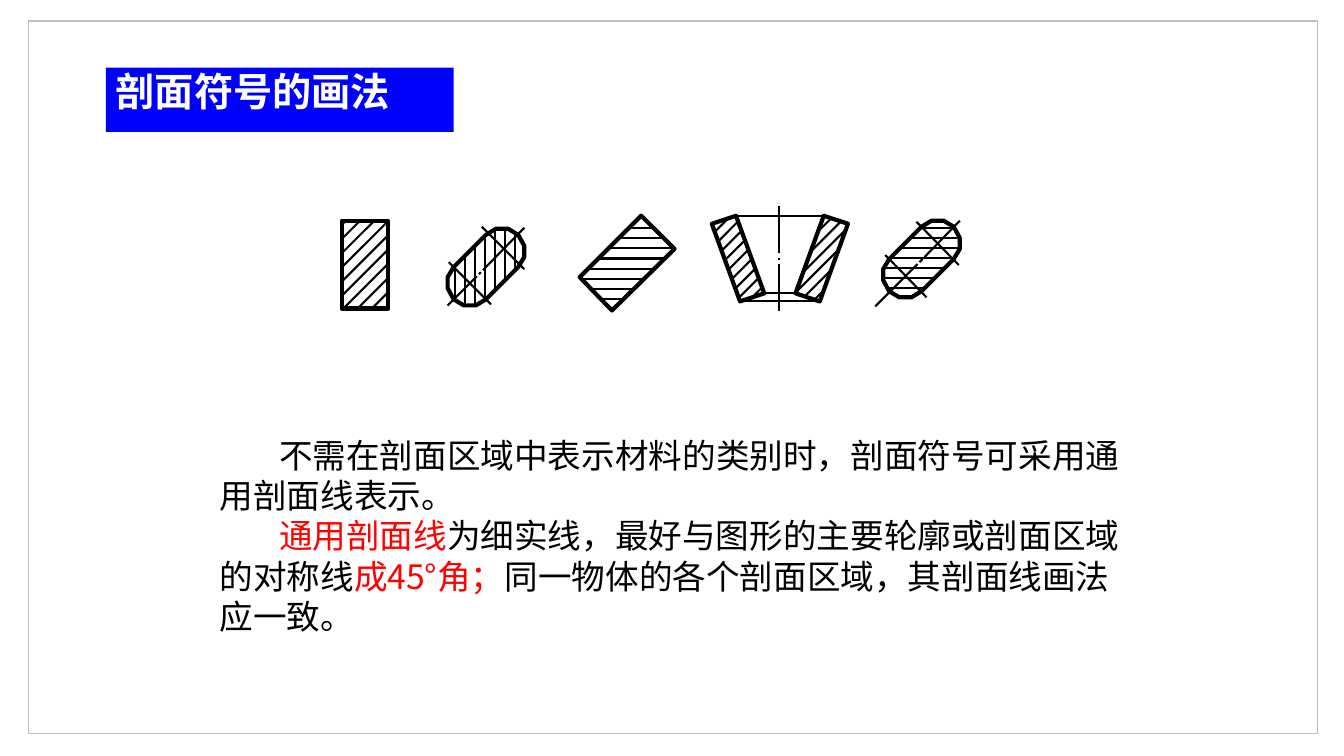
from dataclasses import dataclass, field
from typing import Optional

from lxml.etree import SubElement
from pptx import Presentation
from pptx.dml.color import RGBColor as Color
from pptx.enum.shapes import MSO_CONNECTOR as Connector, MSO_SHAPE as Preset
from pptx.enum.text import MSO_ANCHOR as Anchor, PP_ALIGN as Align
from pptx.oxml.ns import qn
from pptx.util import Inches, Pt

BLACK = Color(0x00, 0x00, 0x00)
WHITE = Color(0xFF, 0xFF, 0xFF)
BLUE = Color(0x00, 0x00, 0xFF)
GREY = Color(0xBF, 0xBF, 0xBF)
TERM_RED = Color(0xFF, 0x01, 0x01)
ANGLE_RED = Color(0xFF, 0x00, 0x00)
FONT = "Noto Sans CJK SC"
CELL = Inches(0.1)
THIN, THICK = 1.5, 3

Point = tuple[float, float]
Segment = tuple[Point, Point]
DIAGONAL, HORIZONTAL, VERTICAL = (1, 1), (0, 1), (1, 0)


@dataclass
class Hatch:
    normal: Point
    first: float
    last: float
    count: int


@dataclass
class Section:
    outline: list[Point]
    hatch: Hatch
    centre_lines: list[Segment] = field(default_factory=list)


@dataclass
class TextPiece:
    text: str
    color: Color
    size: float = 24
    bold: Optional[bool] = None


def grid(value: float) -> int:
    return round(value * CELL)


def slot(centre_x: float, centre_y: float) -> list[Point]:
    half = [(-3.2, 0), (-3.8, 1), (-3.8, 2.1), (-3.2, 3.2), (-2.2, 3.8), (-1, 3.8), (0, 3.2)]
    offsets = half + [(-x, -y) for x, y in half]
    return [(centre_x + x, centre_y + y) for x, y in offsets]


def hatch_segments(section: Section) -> list[Segment]:
    hatch = section.hatch
    step = (hatch.last - hatch.first) / (hatch.count - 1)
    edges = list(zip(section.outline, section.outline[1:] + section.outline[:1]))
    segments = []
    for index in range(hatch.count):
        level = hatch.first + index * step
        crossings = []
        for start, end in edges:
            before, after = (p[0] * hatch.normal[0] + p[1] * hatch.normal[1] - level
                             for p in (start, end))
            if (before < 0) != (after < 0):
                share = before / (before - after)
                crossings.append((start[0] + share * (end[0] - start[0]),
                                  start[1] + share * (end[1] - start[1])))
        if len(crossings) == 2:
            segments.append((crossings[0], crossings[1]))
    return segments


def draw_line(slide, segment: Segment) -> None:
    (x1, y1), (x2, y2) = segment
    line = slide.shapes.add_connector(Connector.STRAIGHT, grid(x1), grid(y1), grid(x2), grid(y2))
    line.line.color.rgb = BLACK
    line.line.width = Pt(THIN)
    SubElement(line._element.spPr, qn("a:effectLst"))


def draw_section(slide, section: Section) -> None:
    for segment in hatch_segments(section) + section.centre_lines:
        draw_line(slide, segment)
    corners = [(grid(x), grid(y)) for x, y in section.outline]
    builder = slide.shapes.build_freeform(*corners[0])
    builder.add_line_segments(corners[1:], close=True)
    outline = builder.convert_to_shape()
    outline.shadow.inherit = False
    outline.fill.background()
    outline.line.color.rgb = BLACK
    outline.line.width = Pt(THICK)


def draw_box(slide, left: float, top: float, width: float, height: float):
    box = slide.shapes.add_shape(Preset.RECTANGLE, grid(left), grid(top), grid(width), grid(height))
    box.shadow.inherit = False
    return box


def write_paragraph(paragraph, pieces: list[TextPiece], margin: float, indent: float) -> None:
    paragraph.alignment = Align.LEFT
    properties = paragraph._p.get_or_add_pPr()
    properties.set("marL", str(grid(margin)))
    properties.set("indent", str(grid(indent)))
    for piece in pieces:
        run = paragraph.add_run()
        run.text = piece.text
        run.font.size = Pt(piece.size)
        run.font.bold = piece.bold
        run.font.color.rgb = piece.color
        run.font.name = FONT
        SubElement(run._r.get_or_add_rPr(), qn("a:ea")).set("typeface", FONT)


SECTIONS = [
    Section([(33.9, 30.6), (38.5, 30.6), (38.5, 21.9), (33.9, 21.9)],
            Hatch(DIAGONAL, 56.2, 68.9, 10)),
    Section([(57.5, 27.5), (60.7, 30.8), (66.9, 24.7), (63.6, 21.4)],
            Hatch(HORIZONTAL, 21.6, 30.7, 10)),
    Section(slot(48.2, 26.5), Hatch(VERTICAL, 45.1, 51.1, 7),
            [((44.5, 26), (48.7, 30.2)), ((47.8, 22.5), (52, 26.7)),
             ((44.4, 30.3), (47.3, 27.4)), ((47.5, 27.2), (47.7, 27)),
             ((47.9, 26.8), (52, 22.6))]),
    Section([(73.4, 29.9), (75.8, 29.1), (73, 21.4), (70.6, 22.2)],
            Hatch(DIAGONAL, 93.9, 104.1, 9)),
    Section([(81.3, 29.9), (78.9, 29.1), (81.7, 21.4), (84.1, 22.2)],
            Hatch(DIAGONAL, 104.1, 110.5, 6),
            [((73, 21.4), (81.7, 21.4)), ((73.4, 29.9), (81.3, 29.9)),
             ((75.8, 29.1), (78.9, 29.1)), ((77.3, 20.4), (77.3, 25.1)),
             ((77.3, 25.6), (77.3, 25.8)), ((77.3, 26.2), (77.3, 30.9))]),
    Section(slot(91.4, 25.7), Hatch(HORIZONTAL, 22.6, 28.6, 7),
            [((87.8, 25.3), (91.9, 29.5)), ((90.9, 22), (95.1, 26.3)),
             ((86.8, 30.4), (91, 26.2)), ((91.2, 26), (91.5, 25.7)),
             ((91.7, 25.5), (95.2, 21.9))]),
]

BODY = [
    [TextPiece("不需在剖面区域中表示材料的类别时，剖面符号可采用通用剖面线表示。", BLACK)],
    [TextPiece("通用剖面线", TERM_RED),
     TextPiece("为细实线，最好与图形的主要轮廓或剖面区域的对称线", BLACK),
     TextPiece("成45°角；", ANGLE_RED),
     TextPiece("同一物体的各个剖面区域，其剖面线画法应一致。", BLACK)],
]


def main() -> None:
    presentation = Presentation()
    presentation.slide_width = Inches(13.33)
    presentation.slide_height = Inches(7.5)
    slide = presentation.slides.add_slide(presentation.slide_layouts[6])

    frame = draw_box(slide, 2.8, 2.1, 127.9, 70.7)
    frame.fill.background()
    frame.line.color.rgb = GREY
    frame.line.width = Pt(1)

    title = draw_box(slide, 10.5, 6.7, 34.5, 6.4)
    title.fill.solid()
    title.fill.fore_color.rgb = BLUE
    title.line.fill.background()
    title.text_frame.word_wrap = True
    title.text_frame.vertical_anchor = Anchor.TOP
    heading = title.text_frame.paragraphs[0]
    heading.line_spacing = 0.9
    write_paragraph(heading, [TextPiece("剖面符号的画法", WHITE, 28, True)], 9.2, -9.2)

    body = slide.shapes.add_textbox(grid(20.8), grid(42.5), grid(91.4), grid(21.2)).text_frame
    body.word_wrap = True
    body.vertical_anchor = Anchor.MIDDLE
    for index, pieces in enumerate(BODY):
        paragraph = body.add_paragraph() if index else body.paragraphs[0]
        write_paragraph(paragraph, pieces, 0, 5.9)

    for section in SECTIONS:
        draw_section(slide, section)

    presentation.save("out.pptx")


if __name__ == "__main__":
    main()
